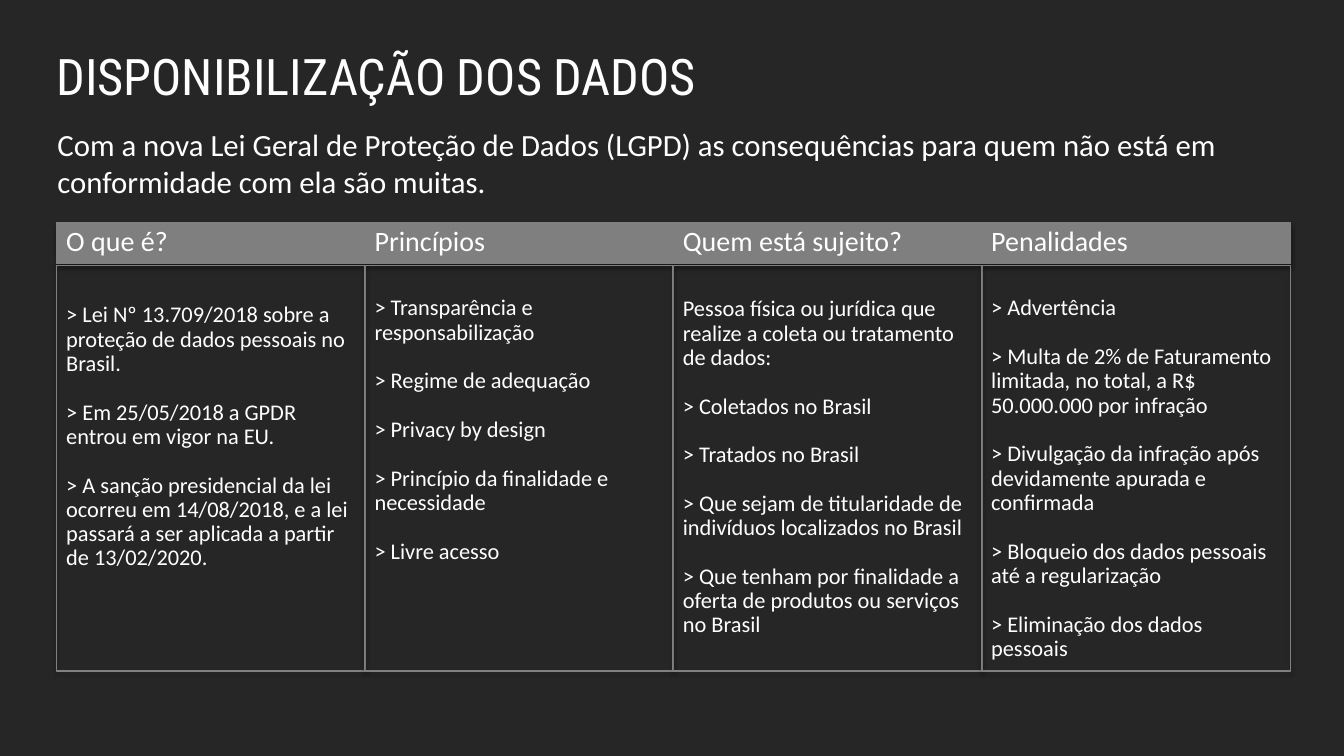
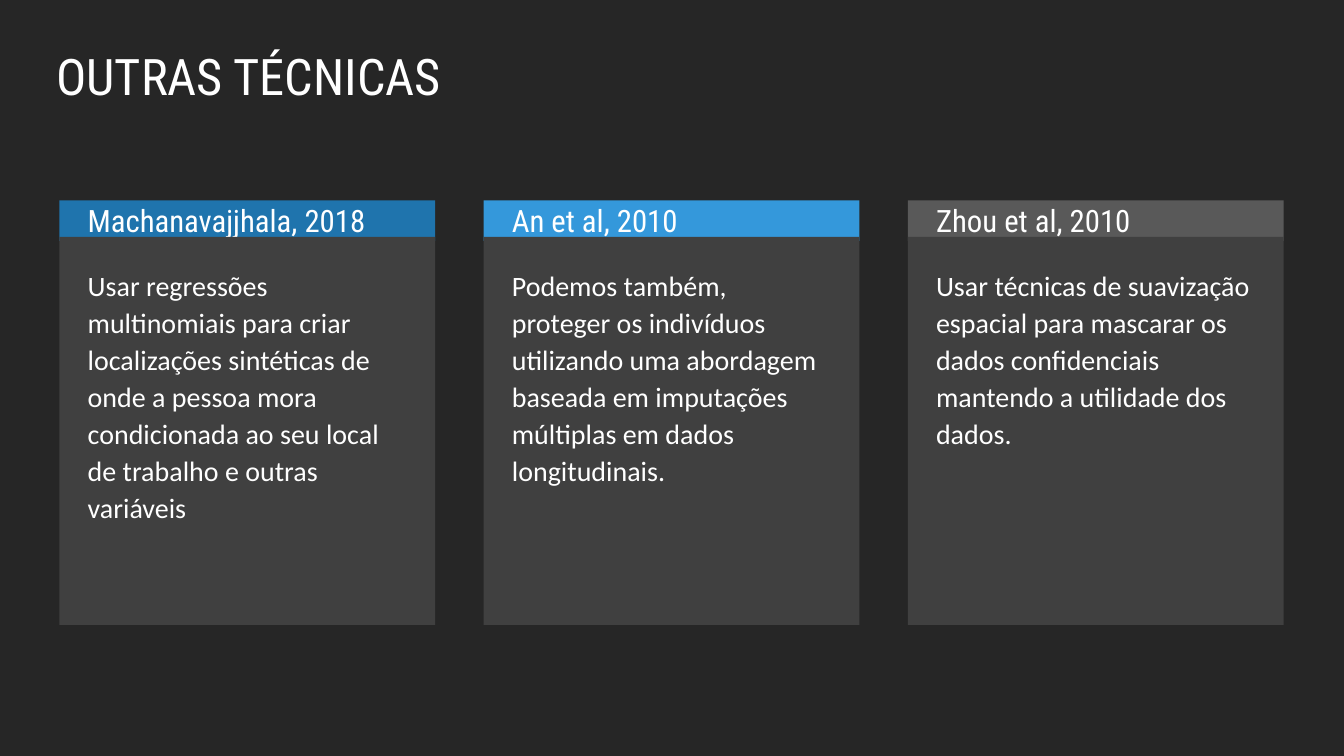
"""Build two dark slides on data protection law and privacy techniques."""
import pptx
import pptx.util
import pptx.oxml
import pptx.dml.color
import pptx.enum.shapes
import pptx.enum.text

Cm, Pt = pptx.util.Cm, pptx.util.Pt
ANCHOR = pptx.enum.text.MSO_ANCHOR

COLORS = {
    "background": "262626",
    "text": "FFFFFF",
    "band": "7F7F7F",
    "outline": "808080",
    "card": "404040",
    "blue": "1F74AD",
    "sky": "3498DB",
    "gray": "595959",
}
HEADING_FONT = "Roboto Condensed"
BODY_FONT = "Calibri"
SHADOW = (
    '<a:outerShdw xmlns:a="http://schemas.openxmlformats.org/drawingml/2006/main"'
    ' blurRad="39370" dist="22860" dir="5400000" rotWithShape="0">'
    '<a:srgbClr val="000000"><a:alpha val="35000"/></a:srgbClr></a:outerShdw>'
)

LAW_COLUMNS = [
    ("O que é?", 33, [
        "> Lei Nº 13.709/2018 sobre a proteção de dados pessoais no Brasil.",
        "> Em 25/05/2018 a GPDR entrou em vigor na EU.",
        "> A sanção presidencial da lei ocorreu em 14/08/2018, e a lei passará "
        "a ser aplicada a partir de 13/02/2020.",
    ]),
    ("Princípios", 28, [
        "> Transparência e responsabilização",
        "> Regime de adequação",
        "> Privacy by design",
        "> Princípio da finalidade e necessidade",
        "> Livre acesso",
    ]),
    ("Quem está sujeito?", 28.7, [
        "Pessoa física ou jurídica que realize a coleta ou tratamento de dados:",
        "> Coletados no Brasil",
        "> Tratados no Brasil",
        "> Que sejam de titularidade de indivíduos localizados no Brasil",
        "> Que tenham por finalidade a oferta de produtos ou serviços no Brasil",
    ]),
    ("Penalidades", 28, [
        "> Advertência",
        "> Multa de 2% de Faturamento limitada, no total, a R$ 50.000.000 por infração",
        "> Divulgação da infração após devidamente apurada e confirmada",
        "> Bloqueio dos dados pessoais até a regularização",
        "> Eliminação dos dados pessoais",
    ]),
]

TECHNIQUES = [
    ("Machanavajjhala, 2018", "blue",
     "Usar regressões multinomiais para criar localizações sintéticas de onde a "
     "pessoa mora condicionada ao seu local de trabalho e outras variáveis"),
    ("An et al, 2010", "sky",
     "Podemos também, proteger os indivíduos utilizando uma abordagem baseada em "
     "imputações múltiplas em dados longitudinais."),
    ("Zhou et al, 2010", "gray",
     "Usar técnicas de suavização espacial para mascarar os dados confidenciais "
     "mantendo a utilidade dos dados."),
]


class Deck:
    """Hold the presentation style and the current slide."""

    def __init__(self):
        self.presentation = pptx.Presentation()
        self.presentation.slide_width = Cm(33.87)
        self.presentation.slide_height = Cm(19.05)
        self.paint(self.presentation.slide_master.background.fill, "background")
        self.slide = None

    def paint(self, fill, color):
        """Apply a solid palette colour to a fill."""
        fill.solid()
        fill.fore_color.rgb = pptx.dml.color.RGBColor.from_string(COLORS[color])

    def fit_frame(self, frame, inset_x, inset_y, anchor=ANCHOR.TOP):
        """Set wrapping, insets and anchor of a text frame."""
        frame.word_wrap = True
        frame.auto_size = pptx.enum.text.MSO_AUTO_SIZE.NONE
        frame.vertical_anchor = anchor
        frame.margin_left = frame.margin_right = Cm(inset_x)
        frame.margin_top = frame.margin_bottom = Cm(inset_y)

    def set_text(self, paragraph, text, size, font=BODY_FONT, spacing=1.0, before=0):
        """Fill and format one paragraph."""
        paragraph.text = text
        paragraph.alignment = pptx.enum.text.PP_ALIGN.LEFT
        paragraph.line_spacing = spacing
        paragraph.space_before = Pt(before)
        paragraph.font.name = font
        paragraph.font.size = Pt(size)
        self.paint(paragraph.font.fill, "text")

    def add_slide(self, heading):
        """Start a slide with its title."""
        self.slide = self.presentation.slides.add_slide(
            self.presentation.slide_layouts[5])
        title = self.slide.shapes.title
        title.left, title.top = Cm(1.42), Cm(1.14)
        title.width, title.height = Cm(30.94), Cm(2.97)
        self.fit_frame(title.text_frame, 0, 0)
        self.set_text(title.text_frame.paragraphs[0], heading, 36, HEADING_FONT)

    def add_text(self, left, top, width, height, inset_x=0.25, inset_y=0.13):
        """Add an empty text box and return its frame."""
        frame = self.slide.shapes.add_textbox(
            Cm(left), Cm(top), Cm(width), Cm(height)).text_frame
        self.fit_frame(frame, inset_x, inset_y)
        return frame

    def add_rectangle(self, left, top, width, height, fill=None, outlined=False):
        """Add a rectangle, outlined ones with a soft shadow."""
        rectangle = self.slide.shapes.add_shape(
            pptx.enum.shapes.MSO_SHAPE.RECTANGLE,
            Cm(left), Cm(top), Cm(width), Cm(height))
        rectangle.shadow.inherit = False
        if fill:
            self.paint(rectangle.fill, fill)
        else:
            rectangle.fill.background()
        if outlined:
            self.paint(rectangle.line.fill, "outline")
            rectangle.line.width = Pt(0.75)
            effects = rectangle._element.spPr.find(pptx.oxml.ns.qn("a:effectLst"))
            effects.append(pptx.oxml.parse_xml(SHADOW))
        else:
            rectangle.line.fill.background()
        return rectangle

    def add_column(self, left, heading, gap, items):
        """Add a heading with its list of items."""
        frame = self.add_text(left, 5.51, 7.77, 10.67)
        self.set_text(frame.paragraphs[0], heading, 20)
        for index, item in enumerate(items):
            self.set_text(frame.add_paragraph(), item, 16, spacing=0.9,
                          before=17.6 if index else gap)

    def add_card(self, left, author, color, summary):
        """Add a coloured heading above a summary panel."""
        header = self.add_rectangle(left, 5.05, 9.47, 1.02, color).text_frame
        self.fit_frame(header, 0.71, 0, ANCHOR.MIDDLE)
        self.set_text(header.paragraphs[0], author, 22, HEADING_FONT)
        panel = self.add_rectangle(left, 5.97, 9.47, 9.78, "card").text_frame
        self.fit_frame(panel, 0.71, 0.71)
        self.set_text(panel.paragraphs[0], summary, 20, spacing=1.1)


def main():
    """Build and save both slides."""
    deck = Deck()

    deck.add_slide("DISPONIBILIZAÇÃO DOS DADOS")
    intro = deck.add_text(1.42, 3.18, 30.94, 1.5, 0.03, 0)
    deck.set_text(intro.paragraphs[0],
                  "Com a nova Lei Geral de Proteção de Dados (LGPD) as consequências "
                  "para quem não está em conformidade com ela são muitas.", 22)
    deck.add_rectangle(1.42, 5.61, 31.1, 1.02, "band", outlined=True)
    for index, column in enumerate(LAW_COLUMNS):
        left = 1.42 + index * 7.77
        deck.add_column(left, *column)
        deck.add_rectangle(left, 6.7, 7.79, 10.21, outlined=True)

    deck.add_slide("OUTRAS TÉCNICAS")
    for index, technique in enumerate(TECHNIQUES):
        deck.add_card(1.5 + index * 10.69, *technique)

    deck.presentation.save("out.pptx")


if __name__ == "__main__":
    main()
